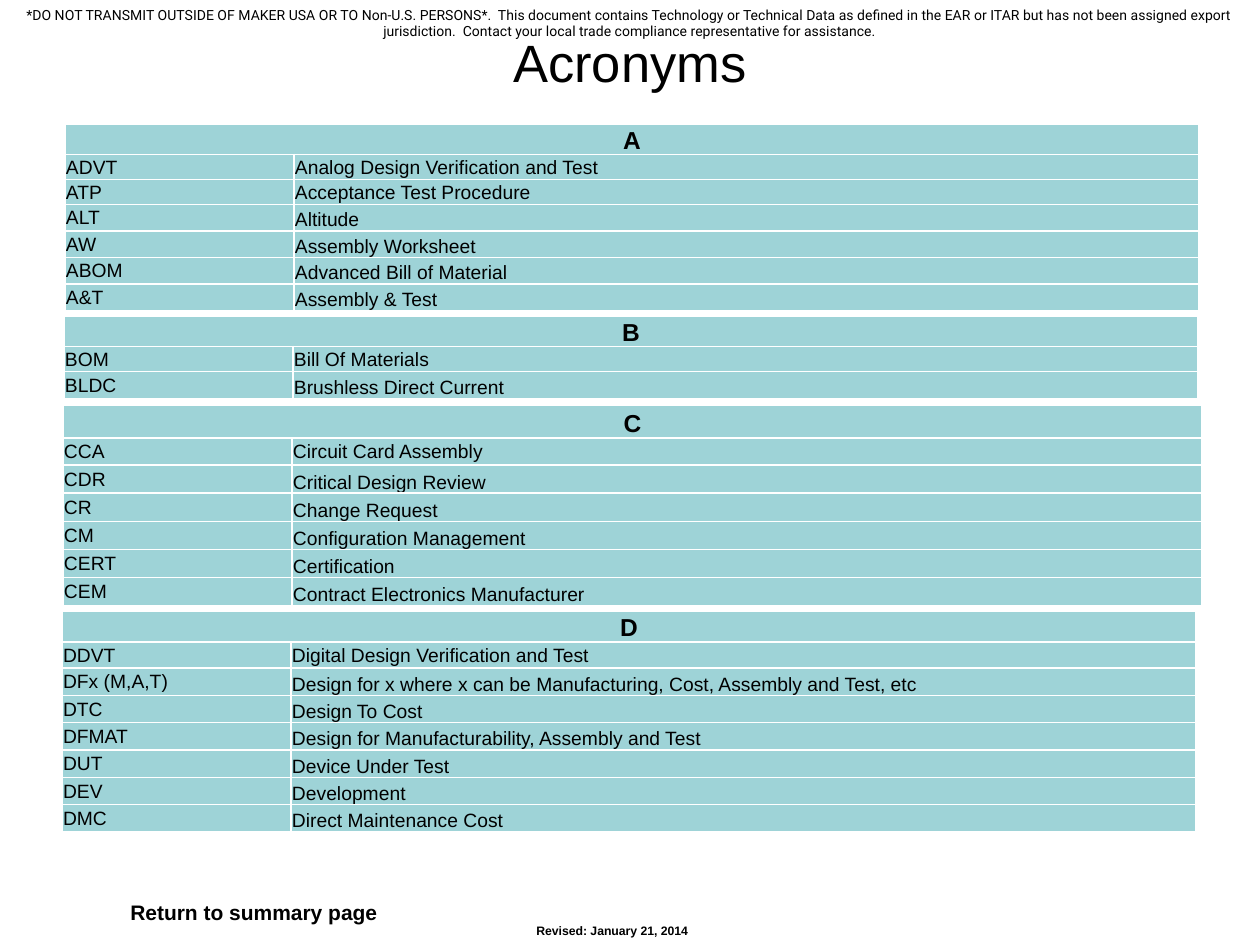
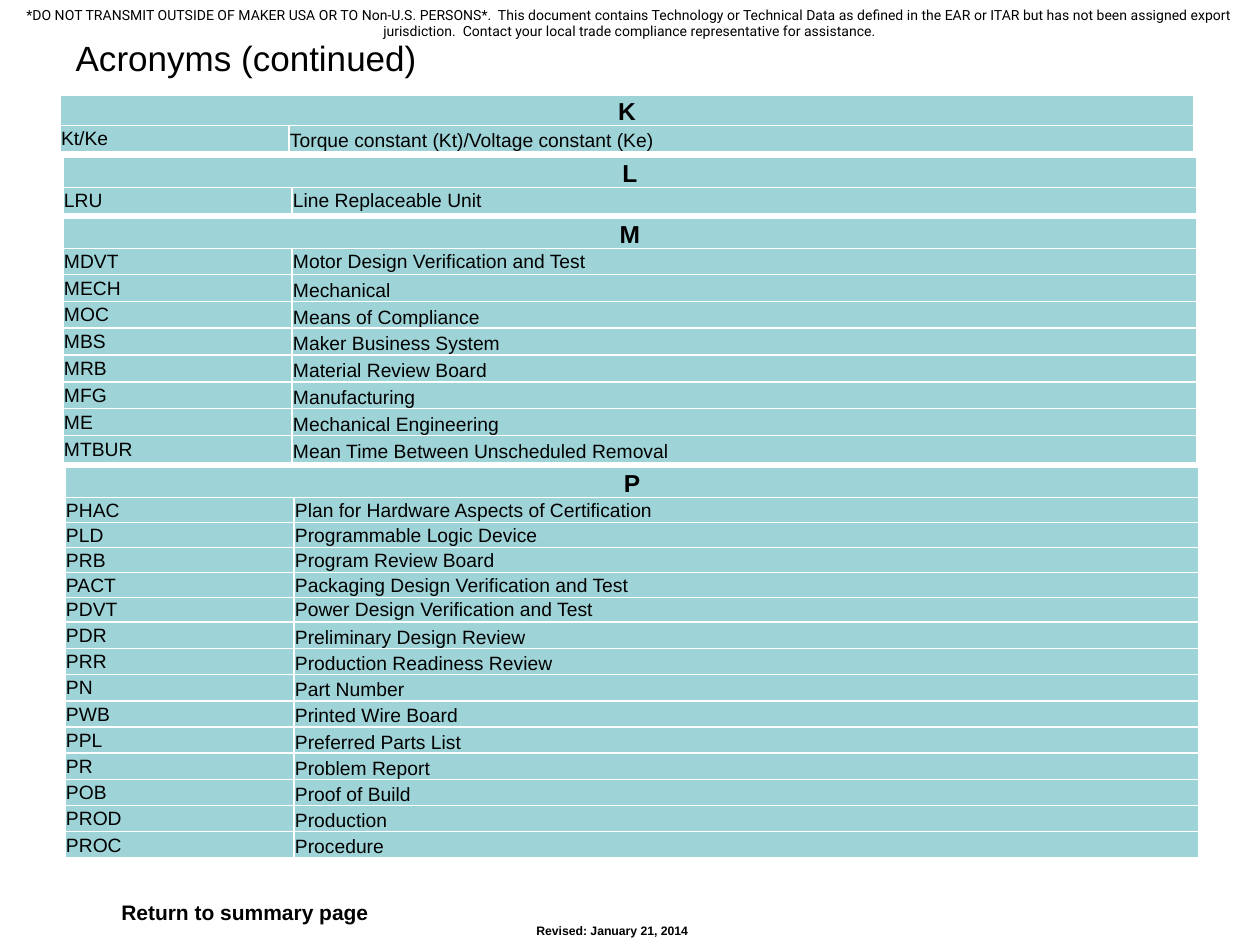
from lxml.etree import SubElement
from pptx import Presentation
from pptx.dml.color import RGBColor
from pptx.enum.text import MSO_ANCHOR, MSO_AUTO_SIZE, PP_ALIGN
from pptx.oxml.ns import qn
from pptx.util import Emu, Pt

SCALE = 914400 / 126
TEAL, WHITE, BLACK = "9ED3D7", "FFFFFF", "000000"
KEY_WIDTH = 229
MID, LOW = MSO_ANCHOR.MIDDLE, MSO_ANCHOR.BOTTOM
LEFT, CENTER = PP_ALIGN.LEFT, PP_ALIGN.CENTER

BODY = {"name": "Arial", "size": Pt(11), "bold": False}
HEAD = {"name": "Arial", "size": Pt(14), "bold": True}
LINK = {"name": "Arial", "size": Pt(12), "bold": True}
DATED = {"name": "Arial", "size": Pt(7), "bold": True}
LEGAL = {"name": "Roboto", "size": Pt(8), "bold": False}

NOTICE = (
    "*DO NOT TRANSMIT OUTSIDE OF MAKER USA OR TO Non-U.S. PERSONS*.  "
    "This document contains Technology or Technical Data as defined in the EAR or ITAR "
    "but has not been assigned export jurisdiction.  "
    "Contact your local trade compliance representative for assistance."
)

TERMS = {
    "A": {
        "ADVT": "Analog Design Verification and Test",
        "ATP": "Acceptance Test Procedure",
        "ALT": "Altitude",
        "AW": "Assembly Worksheet",
        "ABOM": "Advanced Bill of Material",
        "A&T": "Assembly & Test",
    },
    "B": {
        "BOM": "Bill Of Materials",
        "BLDC": "Brushless Direct Current",
    },
    "C": {
        "CCA": "Circuit Card Assembly",
        "CDR": "Critical Design Review",
        "CR": "Change Request",
        "CM": "Configuration Management",
        "CERT": "Certification",
        "CEM": "Contract Electronics Manufacturer",
    },
    "D": {
        "DDVT": "Digital Design Verification and Test",
        "DFx (M,A,T)": "Design for x where x can be Manufacturing, Cost, Assembly and Test, etc",
        "DTC": "Design To Cost",
        "DFMAT": "Design for Manufacturability, Assembly and Test",
        "DUT": "Device Under Test",
        "DEV": "Development",
        "DMC": "Direct Maintenance Cost",
    },
    "K": {"Kt/Ke": "Torque constant (Kt)/Voltage constant (Ke)"},
    "L": {"LRU": "Line Replaceable Unit"},
    "M": {
        "MDVT": "Motor Design Verification and Test",
        "MECH": "Mechanical",
        "MOC": "Means of Compliance",
        "MBS": "Maker Business System",
        "MRB": "Material Review Board",
        "MFG": "Manufacturing",
        "ME": "Mechanical Engineering",
        "MTBUR": "Mean Time Between Unscheduled Removal",
    },
    "P": {
        "PHAC": "Plan for Hardware Aspects of Certification",
        "PLD": "Programmable Logic Device",
        "PRB": "Program Review Board",
        "PACT": "Packaging Design Verification and Test",
        "PDVT": "Power Design Verification and Test",
        "PDR": "Preliminary Design Review",
        "PRR": "Production Readiness Review",
        "PN": "Part Number",
        "PWB": "Printed Wire Board",
        "PPL": "Preferred Parts List",
        "PR": "Problem Report",
        "POB": "Proof of Build",
        "PROD": "Production",
        "PROC": "Procedure",
    },
}


def px(num):
    """Turn pixels into EMU."""
    return Emu(round(num * SCALE))


def color(code):
    """Turn a hex string into a colour."""
    return RGBColor.from_string(code)


def apply(item, values):
    """Set each named attribute of an item."""
    for name, value in values.items():
        setattr(item, name, value)


def write(frame, text, style, align=LEFT):
    """Put one styled paragraph in a text frame."""
    para = frame.paragraphs[0]
    para.alignment = align
    run = para.add_run()
    run.text = text
    apply(run.font, style)
    run.font.color.rgb = color(BLACK)


def add_text(slide, box, text, style, align=LEFT, wrap=True):
    """Add a text box."""
    frame = slide.shapes.add_textbox(*map(px, box)).text_frame
    frame.word_wrap = wrap
    write(frame, text, style, align)


def add_title(slide, text, size, high, align):
    """Place and format the title."""
    title = slide.shapes.title
    apply(title, dict(left=px(63), top=px(38), width=px(1134), height=px(high)))
    frame = title.text_frame
    apply(frame, dict(auto_size=MSO_AUTO_SIZE.NONE, vertical_anchor=MID, word_wrap=True))
    write(frame, text, {"name": "Arial", "size": Pt(size), "bold": False}, align)


def dress(cell, anchor):
    """Give a cell its borders, fill, margins and anchor."""
    props = cell._tc.get_or_add_tcPr()
    for side in ("lnL", "lnR", "lnT", "lnB"):
        line = SubElement(props, qn(f"a:{side}"), w=str(Pt(1)))
        fill = SubElement(line, qn("a:solidFill"))
        SubElement(fill, qn("a:srgbClr"), val=WHITE)
    cell.fill.solid()
    cell.fill.fore_color.rgb = color(TEAL)
    apply(cell, dict(margin_left=px(1), margin_right=px(1), margin_top=px(1),
                     margin_bottom=0, vertical_anchor=anchor))


def add_terms(slide, letter, left, top, high, head=30, mid=25, count=1, wide=1134):
    """Add a letter's table; rows after the first count share the rest."""
    terms = TERMS[letter]
    size = len(terms) + 1
    box = map(px, (left, top, wide, high))
    table = slide.shapes.add_table(size, 2, *box).table
    apply(table, dict(first_row=False, horz_banding=False))
    for col, width in zip(table.columns, (KEY_WIDTH, wide - KEY_WIDTH)):
        col.width = px(width)
    rest = (high - head - mid * count) / max(size - 1 - count, 1)
    highs = [head] + [mid] * count + [rest] * (size - 1 - count)
    for row, height in zip(table.rows, highs):
        row.height = px(height)
    for cell in table.rows[0].cells:
        dress(cell, LOW)
    table.cell(0, 0).merge(table.cell(0, 1))
    write(table.cell(0, 0).text_frame, letter, HEAD, CENTER)
    for num, pair in enumerate(terms.items(), 1):
        anchors = (MID, MID if num <= count else LOW)
        for cell, text, anchor in zip(table.rows[num].cells, pair, anchors):
            dress(cell, anchor)
            write(cell.text_frame, text, BODY)


def add_page(deck, title, size, high, align, link):
    """Add a slide with its notice, title and footers."""
    slide = deck.slides.add_slide(deck.slide_layouts[5])
    add_text(slide, (0, 0, 1260, 47), NOTICE, LEGAL, CENTER)
    add_title(slide, title, size, high, align)
    add_text(slide, link, "Return to summary page", LINK, CENTER)
    add_text(slide, (524, 917, 179, 28), "Revised: January 21, 2014", DATED, wrap=False)
    return slide


def main():
    """Build both acronym slides."""
    deck = Presentation()
    apply(deck, dict(slide_width=px(1260), slide_height=px(945)))

    first = add_page(deck, "Acronyms", 30, 48, CENTER, (102, 893, 304, 38))
    add_terms(first, "A", 65, 124, 186, count=2)
    add_terms(first, "B", 64, 316, 82)
    add_terms(first, "C", 63, 405, 201, head=33, mid=27, wide=1139)
    add_terms(first, "D", 62, 611, 221, head=31, mid=26)

    second = add_page(deck, "Acronyms (continued)", 20, 40, LEFT, (97, 893, 296, 38))
    add_terms(second, "K", 60, 95, 56, count=0)
    add_terms(second, "L", 63, 157, 56, mid=26)
    add_terms(second, "M", 63, 218, 244, mid=26)
    add_terms(second, "P", 65, 467, 391, count=5)

    deck.save("out.pptx")


if __name__ == "__main__":
    main()
